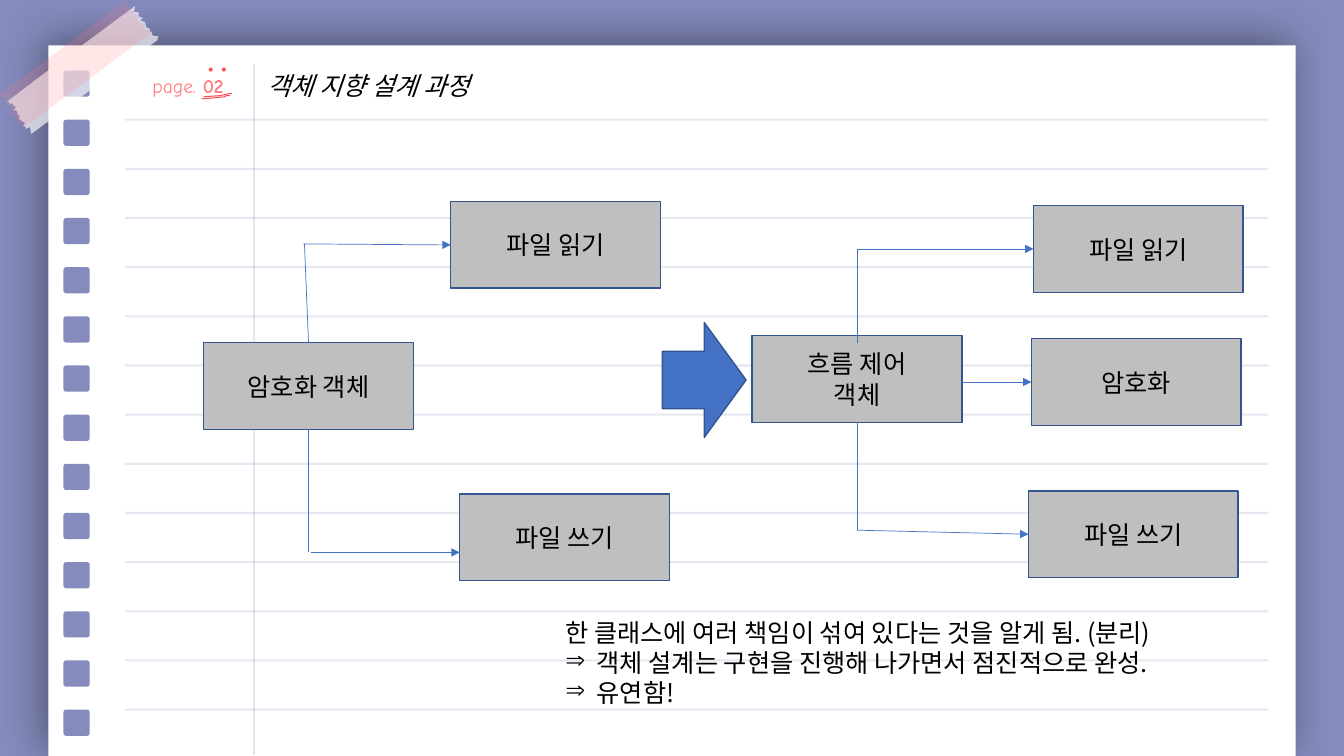
import pptx
import pptx.util
import pptx.dml.color
import pptx.enum.shapes
import pptx.enum.text
import pptx.oxml
import pptx.oxml.ns

WIDE, HIGH = 13.33, 7.5
LAVENDER, BLUE, NAVY, RED = "858BBD", "4472C4", "325491", "FF5050"
KOREAN, COMIC = "Noto Sans CJK KR", "Comic Neue"
TITLE = "객체 지향 설계 과정"
PAGE_LABEL = ["page. ", "02"]
CONCLUSIONS = [
    "한 클래스에 여러 책임이 섞여 있다는 것을 알게 됨. (분리)",
    "객체 설계는 구현을 진행해 나가면서 점진적으로 완성.",
    "유연함!",
]
HOLES = 14
FIRST_HOLE, LAST_HOLE = 0.70, 7.04
ROW = (LAST_HOLE - FIRST_HOLE) / (HOLES - 1)
BOX_SIZE = (2.08, 0.86)
BOXES = {
    "cipher": ("암호화 객체", 2.02, 3.40),
    "control": ("흐름 제어\n객체", 7.46, 3.33),
    "write before": ("파일 쓰기", 4.56, 4.90),
    "read before": ("파일 읽기", 4.47, 2.00),
    "write after": ("파일 쓰기", 10.20, 4.87),
    "cipher after": ("암호화", 10.23, 3.36),
    "read after": ("파일 읽기", 10.25, 2.04),
}
TOP, LEFT, BOTTOM = 0, 1, 2
STEMS = [
    ((3.02, 2.42), (3.06, 3.40), None, ("cipher", TOP)),
    ((3.06, 4.26), (3.06, 5.48), ("cipher", BOTTOM), None),
    ((8.50, 2.47), (8.50, 3.40), None, None),
    ((8.50, 4.19), (8.50, 5.26), ("control", BOTTOM), None),
]
ARROWS = [
    ((3.01, 2.42), (4.47, 2.42), None, ("read before", LEFT)),
    ((3.08, 5.48), (4.56, 5.48), None, None),
    ((8.50, 2.47), (10.23, 2.47), None, ("read after", LEFT)),
    ((9.54, 3.79), (10.23, 3.79), None, ("cipher after", LEFT)),
    ((8.50, 5.26), (10.20, 5.30), None, ("write after", LEFT)),
]
TAPE = [
    (0.37, 0.78), (1.34, 0.06), (1.33, 0.12), (1.36, 0.12), (1.38, 0.13), (1.37, 0.16),
    (1.42, 0.18), (1.39, 0.20), (1.44, 0.22), (1.45, 0.27), (1.47, 0.28), (1.49, 0.29),
    (1.49, 0.33), (1.50, 0.31), (1.51, 0.33), (1.51, 0.35), (1.54, 0.36), (1.57, 0.36),
    (1.56, 0.40), (0.31, 1.33), (0.30, 1.28), (0.30, 1.26), (0.25, 1.28), (0.26, 1.26),
    (0.23, 1.25), (0.25, 1.22), (0.23, 1.21), (0.19, 1.18), (0.20, 1.13), (0.18, 1.15),
    (0.17, 1.10), (0.13, 1.09), (0.16, 1.07), (0.13, 1.04), (0.12, 1.02), (0.09, 1.04),
    (0.10, 1.02), (0.07, 1.01),
]
TAPE_LAYERS = [(0, 0, "FFFFFF", 65), (-0.08, -0.06, "FF7C80", 19)]
UNDERLINES = [
    [(2.00, 0.98), (2.14, 0.97), (2.23, 0.96), (2.24, 0.95), (2.28, 0.95)],
    [(2.02, 0.96), (2.18, 0.95), (2.27, 0.93), (2.30, 0.93)],
]
DOTS = [2.07, 2.20]

SHAPE = pptx.enum.shapes.MSO_SHAPE
inch = pptx.util.Inches


def color(code):
    return pptx.dml.color.RGBColor.from_string(code)


def add_xml(parent, markup):
    parent.append(pptx.oxml.parse_xml(markup.replace(" ", f" {pptx.oxml.ns.nsdecls('a')} ", 1)))


def set_alpha(element, percent):
    add_xml(next(element.iter(pptx.oxml.ns.qn("a:srgbClr"))), f'<a:alpha val="{percent * 1000}"/>')


def paint(shape, fill=None, line=None, points=1):
    shape.shadow.inherit = False
    if fill:
        shape.fill.solid()
        shape.fill.fore_color.rgb = color(fill)
    else:
        shape.fill.background()
    if line:
        shape.line.color.rgb = color(line)
        shape.line.width = pptx.util.Pt(points)
    else:
        shape.line.fill.background()
    return shape


def add_shape(shapes, kind, left, top, width, height, fill, line=None):
    shape = shapes.add_shape(kind, inch(left), inch(top), inch(width), inch(height))
    return paint(shape, fill, line)


def add_line(shapes, start, end, line, points):
    link = shapes.add_connector(pptx.enum.shapes.MSO_CONNECTOR.STRAIGHT, *map(inch, start + end))
    link.line.color.rgb = color(line)
    link.line.width = pptx.util.Pt(points)
    add_xml(link._element.spPr, "<a:effectLst />")
    return link


def add_outline(shapes, points, close):
    spots = [(inch(x), inch(y)) for x, y in points]
    builder = shapes.build_freeform(*spots[0])
    builder.add_line_segments(spots[1:], close=close)
    return builder.convert_to_shape()


def style(span, size, font, ink):
    span.font.size = pptx.util.Pt(size)
    span.font.name = font
    span.font.color.rgb = color(ink)
    add_xml(span._r.get_or_add_rPr(), f'<a:ea typeface="{font}"/>')


def write(frame, text, align=None):
    frame.word_wrap = True
    frame.text = text
    for para in frame.paragraphs:
        para.alignment = align
        for span in para.runs:
            style(span, 18, KOREAN, "000000")


def add_text_box(page, left, top, width, height):
    frame = page.shapes.add_textbox(inch(left), inch(top), inch(width), inch(height)).text_frame
    frame.word_wrap = True
    frame.auto_size = pptx.enum.text.MSO_AUTO_SIZE.SHAPE_TO_FIT_TEXT
    return frame


def draw_notebook(page):
    shapes = page.shapes.add_group_shape().shapes
    paper = add_shape(shapes, SHAPE.RECTANGLE, 0.48, 0.45, 12.37, HIGH - 0.45, "FFFFFF")
    add_xml(paper._element.spPr.find(pptx.oxml.ns.qn("a:effectLst")),
            '<a:outerShdw blurRad="393700" dist="63500" dir="13500000" algn="br" rotWithShape="0">'
            '<a:srgbClr val="000000"><a:alpha val="40000"/></a:srgbClr></a:outerShdw>')
    rows = [FIRST_HOLE + index * ROW for index in range(HOLES)]
    for y in rows:
        hole = add_shape(shapes, SHAPE.ROUNDED_RECTANGLE, 0.63, y, 0.26, 0.26, LAVENDER)
        hole.adjustments[0] = 0.1
    rules = [((1.24, y), (12.58, y)) for y in rows[1:]] + [((2.52, 0.64), (2.52, 7.49))]
    for start, end in rules:
        set_alpha(add_line(shapes, start, end, LAVENDER, 1.5)._element, 20)


def draw_heading(page):
    for dx, dy, fill, alpha in TAPE_LAYERS:
        tape = add_outline(page.shapes, [(x + dx, y + dy) for x, y in TAPE], True)
        set_alpha(paint(tape, fill)._element, alpha)
    para = add_text_box(page, 1.29, 0.68, 1.15, 0.34).paragraphs[0]
    para.alignment = pptx.enum.text.PP_ALIGN.CENTER
    for text in PAGE_LABEL:
        span = para.add_run()
        span.text = text
        style(span, 14, COMIC, "FF7C80")
    span.font.bold = True
    marks = page.shapes.add_group_shape().shapes
    for points in UNDERLINES:
        paint(add_outline(marks, points, False), line=RED, points=0.75)
    for x in DOTS:
        add_shape(marks, SHAPE.OVAL, x, 0.67, 0.04, 0.04, RED)
    title = add_text_box(page, 2.55, 0.65, 5.91, 0.40)
    write(title, TITLE)
    title.paragraphs[0].runs[0].font.italic = True


def draw_diagram(page):
    boxes = {}
    for name, (text, left, top) in BOXES.items():
        box = add_shape(page.shapes, SHAPE.RECTANGLE, left, top, *BOX_SIZE, "BFBFBF", NAVY)
        box.text_frame.vertical_anchor = pptx.enum.text.MSO_ANCHOR.MIDDLE
        write(box.text_frame, text, pptx.enum.text.PP_ALIGN.CENTER)
        boxes[name] = box
    for start, end, source, target in STEMS + ARROWS:
        link = add_line(page.shapes, start, end, BLUE, 0.5)
        if source:
            link.begin_connect(boxes[source[0]], source[1])
        if target:
            link.end_connect(boxes[target[0]], target[1])
        if (start, end, source, target) in ARROWS:
            add_xml(link.line._get_or_add_ln(), '<a:tailEnd type="triangle"/>')
    add_shape(page.shapes, SHAPE.RIGHT_ARROW, 6.57, 3.20, 0.83, 1.14, BLUE, NAVY)


def draw_conclusions(page):
    frame = add_text_box(page, 5.51, 6.07, 6.77, 1.01)
    write(frame, "\n".join(CONCLUSIONS))
    for para in frame.paragraphs[1:]:
        props = para._p.get_or_add_pPr()
        props.set("marL", str(inch(0.31)))
        props.set("indent", str(-inch(0.31)))
        add_xml(props, '<a:buChar char="⇒"/>')


def main():
    deck = pptx.Presentation()
    deck.slide_width, deck.slide_height = inch(WIDE), inch(HIGH)
    page = deck.slides.add_slide(deck.slide_layouts[6])
    page.background.fill.solid()
    page.background.fill.fore_color.rgb = color(LAVENDER)
    draw_notebook(page)
    draw_heading(page)
    draw_diagram(page)
    draw_conclusions(page)
    deck.save("out.pptx")


if __name__ == "__main__":
    main()
